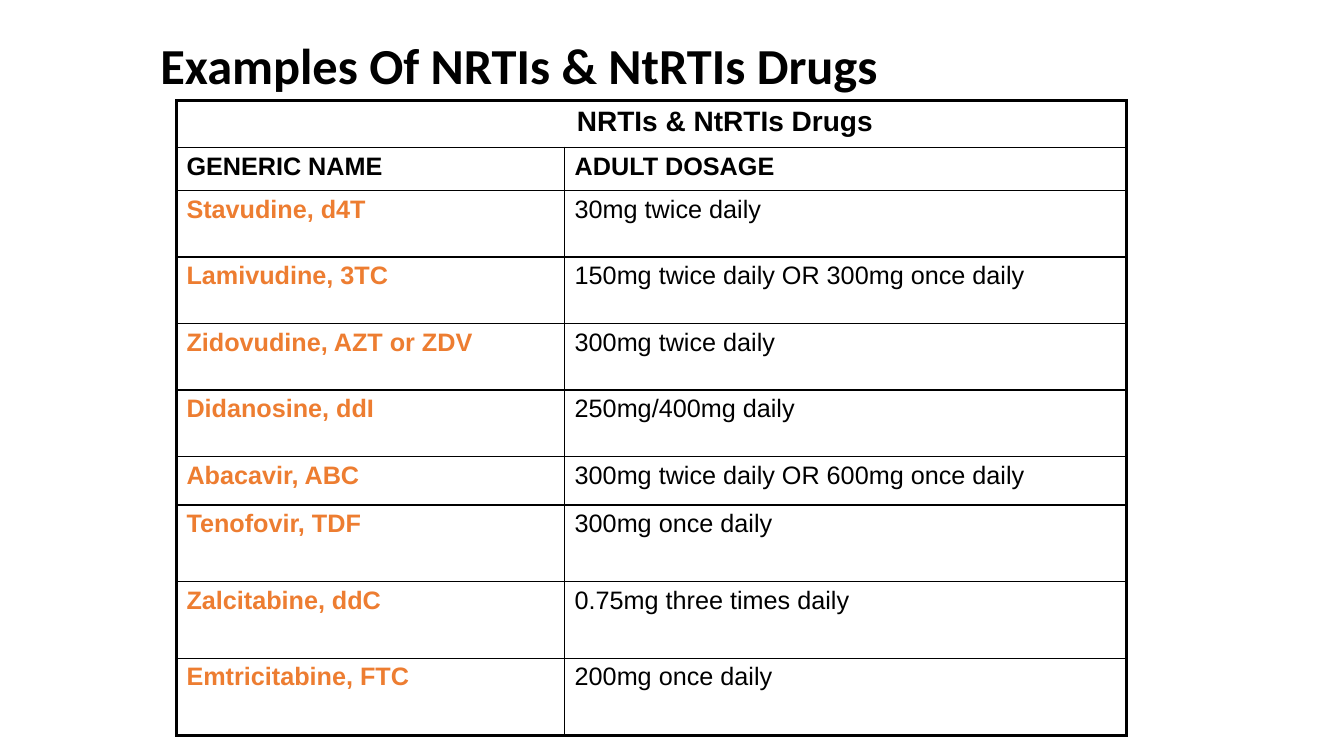
from lxml.etree import SubElement
from pptx import Presentation
from pptx.dml.color import RGBColor as RGB
from pptx.enum.text import MSO_ANCHOR as Anchor, MSO_AUTO_SIZE as AutoSize, PP_ALIGN as Align
from pptx.oxml.ns import qn
from pptx.util import Inches, Pt

COLORS = {"ink": "000000", "drug": "ED7D31"}
THIN, THICK = 1, 2.25

COLUMN_WIDTHS = [3.85, 5.57]
ROW_HEIGHTS = [0.46, 0.43] + [0.66] * 4 + [0.48, 0.76, 0.76, 0.77]
DOSAGES = [
    ("Stavudine, d4T", "30mg twice daily"),
    ("Lamivudine, 3TC", "150mg twice daily OR 300mg once daily"),
    ("Zidovudine, AZT or ZDV", "300mg twice daily"),
    ("Didanosine, ddI", "250mg/400mg daily"),
    ("Abacavir, ABC", "300mg twice daily OR 600mg once daily"),
    ("Tenofovir, TDF", "300mg once daily"),
    ("Zalcitabine, ddC", "0.75mg three times daily"),
    ("Emtricitabine, FTC", "200mg once daily"),
]


def write(frame, text, font="Arial", size=18, color="ink", bold=False,
          align=Align.LEFT, line_spacing=None):
    paragraph = frame.paragraphs[0]
    paragraph.alignment = align
    paragraph.line_spacing = line_spacing
    run = paragraph.add_run()
    run.text = text
    run.font.name, run.font.size, run.font.bold = font, Pt(size), bold
    run.font.color.rgb = RGB.from_string(COLORS[color])


class DrugSlide:
    def __init__(self, deck):
        self.slide = deck.slides.add_slide(deck.slide_layouts[5])

    def title(self, text, left, top, width, height):
        heading = self.slide.shapes.title
        heading.left, heading.top = Inches(left), Inches(top)
        heading.width, heading.height = Inches(width), Inches(height)
        frame = heading.text_frame
        frame.word_wrap, frame.auto_size = True, AutoSize.NONE
        frame.vertical_anchor = Anchor.BOTTOM
        write(frame, text, font="Calibri", size=36, bold=True, line_spacing=0.9)

    def border(self, cell, **widths):
        properties = cell._tc.get_or_add_tcPr()
        for side in "LRTB":
            line = SubElement(properties, qn(f"a:ln{side}"), w=str(Pt(widths[side])))
            fill = SubElement(line, qn("a:solidFill"))
            SubElement(fill, qn("a:srgbClr"), val=COLORS["ink"])

    def table(self, left, top, widths, heights):
        grid = self.slide.shapes.add_table(
            len(heights), len(widths), Inches(left), Inches(top),
            Inches(sum(widths)), Inches(sum(heights))).table
        grid.first_row = grid.horz_banding = False
        for column, width in zip(grid.columns, widths):
            column.width = Inches(width)
        for row, height in zip(grid.rows, heights):
            row.height = Inches(height)

        # Thick outer frame, thin inner rules
        grid.cell(0, 0).merge(grid.cell(0, 1))
        last_row, last_column = len(heights) - 1, len(widths) - 1
        for r in range(len(heights)):
            for c in range(len(widths)):
                cell = grid.cell(r, c)
                self.border(cell,
                            L=THICK if c == 0 else THIN,
                            R=THICK if c == last_column or r == 0 else THIN,
                            T=THICK if r == 0 else THIN,
                            B=THICK if r == last_row else THIN)
                cell.fill.background()
        return grid


def main():
    deck = Presentation()
    deck.slide_width, deck.slide_height = Inches(13.33), Inches(7.5)
    page = DrugSlide(deck)

    # Title
    page.title("Examples Of NRTIs & NtRTIs Drugs", 1.49, 0, 9, 1)

    # Dosage table: spanning heading, column heads, then one drug per row
    dosage_table = page.table(1.75, 1, COLUMN_WIDTHS, ROW_HEIGHTS)
    heading = dosage_table.cell(0, 0)
    heading.margin_left = Inches(1.56)
    write(heading.text_frame, "NRTIs & NtRTIs Drugs", size=20, bold=True, align=Align.CENTER)
    for c, label in enumerate(["GENERIC NAME", "ADULT DOSAGE"]):
        write(dosage_table.cell(1, c).text_frame, label, bold=True)
    for r, (drug, dosage) in enumerate(DOSAGES, start=2):
        write(dosage_table.cell(r, 0).text_frame, drug, color="drug", bold=True)
        write(dosage_table.cell(r, 1).text_frame, dosage)

    deck.save("out.pptx")


if __name__ == "__main__":
    main()
